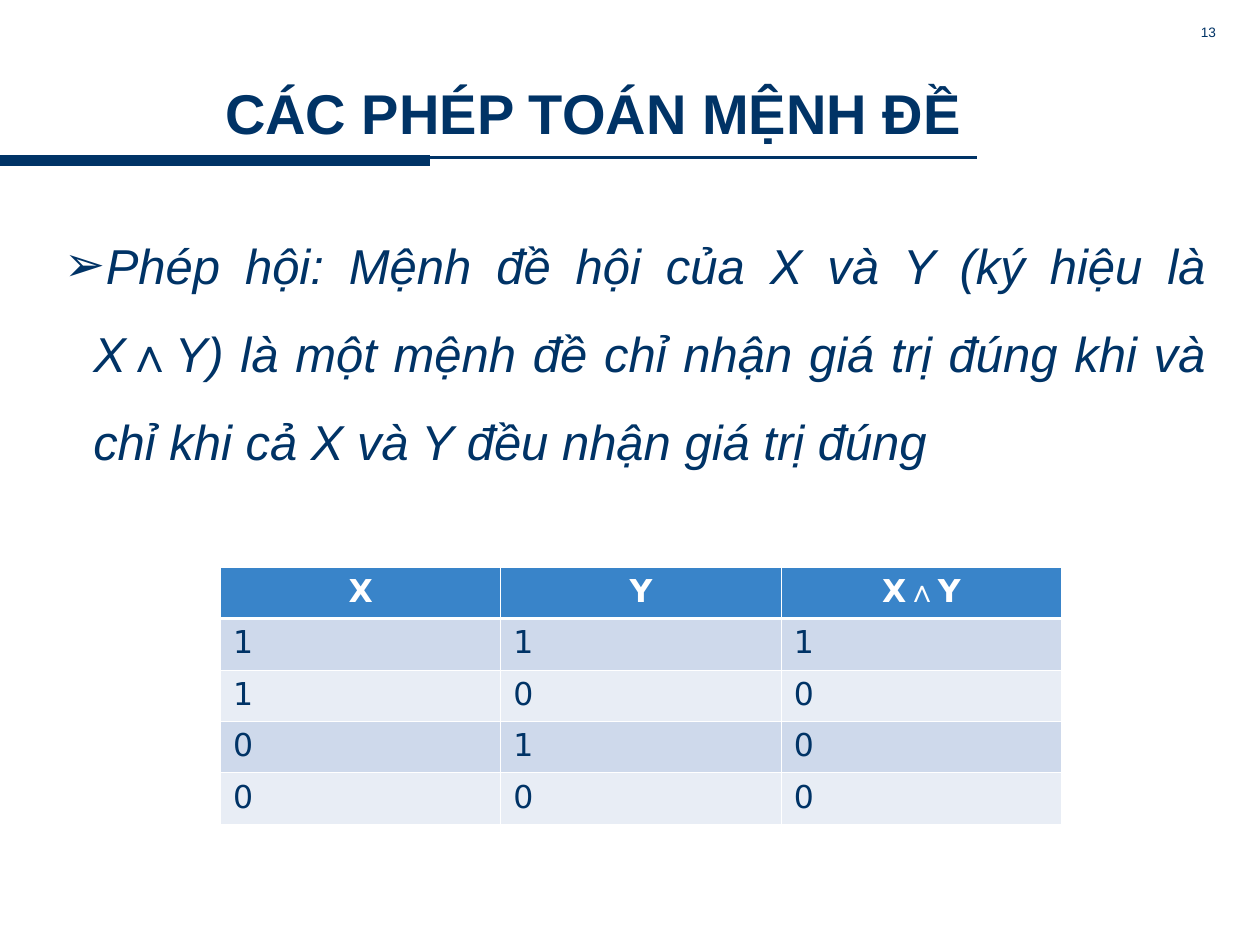
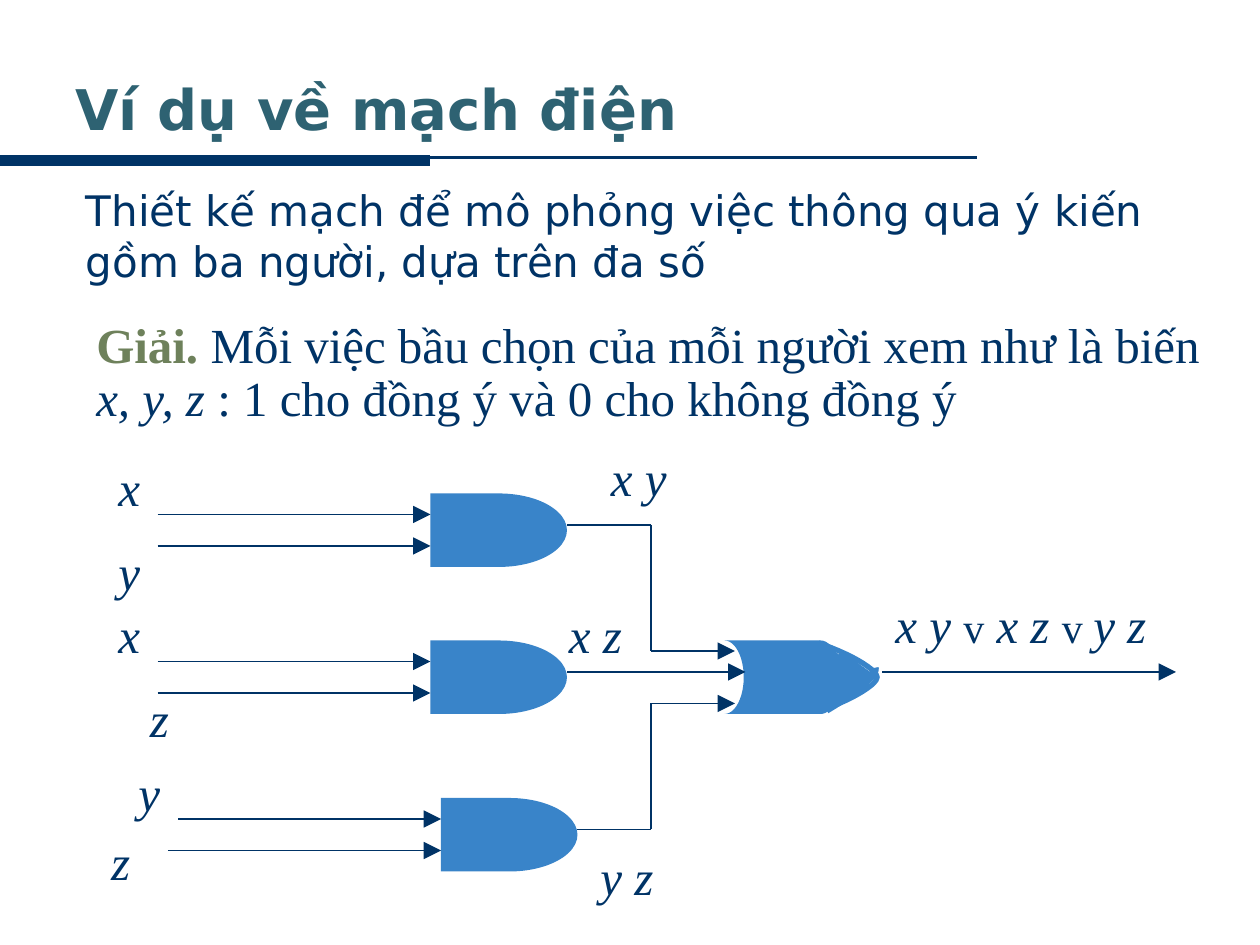
from lxml import etree
from pptx import Presentation
from pptx import util as u
from pptx.dml.color import RGBColor
from pptx.enum import shapes, text
from pptx.oxml import ns

PX = 7620  # EMU per px, 120 px to the inch
NAVY = RGBColor(0x00, 0x33, 0x66)
BLUE = RGBColor(0x39, 0x84, 0xC9)
TEAL = RGBColor(0x2E, 0x62, 0x72)
OLIVE = RGBColor(0x6E, 0x81, 0x5B)
WHITE = RGBColor(0xFF, 0xFF, 0xFF)
PALE = RGBColor(0xE8, 0xED, 0xF5)
MIST = RGBColor(0xCE, 0xD9, 0xEB)
ARIAL, SANS, SERIF = "Arial", "DejaVu Sans", "Times New Roman"


def say(frame, *runs, wrap=True):
    """Write runs of (words, font, size, colour, style), style holding b and i."""
    frame.word_wrap = wrap
    frame.auto_size = text.MSO_AUTO_SIZE.NONE
    para = frame.paragraphs[0]
    for words, face, size, color, style in runs:
        run = para.add_run()
        run.text = words
        run.font.name, run.font.size = face, u.Pt(size)
        run.font.color.rgb = color
        run.font.bold, run.font.italic = "b" in style, "i" in style
    return para


def line(slide, x1, y1, x2, y2, width=0.75, color=NAVY, arrow=False):
    wire = slide.shapes.add_connector(
        shapes.MSO_CONNECTOR.STRAIGHT, x1 * PX, y1 * PX, x2 * PX, y2 * PX)
    wire.line.color.rgb, wire.line.width = color, u.Pt(width)
    if arrow:
        etree.SubElement(wire.line._get_or_add_ln(), ns.qn("a:tailEnd"),
                         type="triangle", w="lg", len="lg")
    etree.SubElement(wire._element.spPr, ns.qn("a:effectLst"))


deck = Presentation()
deck.slide_width, deck.slide_height = 1200 * PX, 900 * PX

# Shared title and rule
titles = [
    ("CÁC PHÉP TOÁN MỆNH ĐỀ", (60, 70, 1010, 74), ARIAL, NAVY, text.PP_ALIGN.CENTER),
    ("Ví dụ về mạch điện", (60, 36, 1080, 134), SANS, TEAL, text.PP_ALIGN.LEFT),
]
for words, place, face, color, align in titles:
    slide = deck.slides.add_slide(deck.slide_layouts[5])
    line(slide, 0, 150, 930, 150, 1.5)
    line(slide, 0, 153, 410, 153, 6)
    title = slide.shapes.title
    title.left, title.top, title.width, title.height = [n * PX for n in place]
    title.text_frame.vertical_anchor = text.MSO_ANCHOR.MIDDLE
    say(title.text_frame, (words, face, 32, color, "b")).alignment = align
logic, circuit = deck.slides

# Slide 1: conjunction and its truth table
box = logic.shapes.add_textbox(940 * PX, 20 * PX, 230 * PX, 30 * PX)
para = say(box.text_frame, ("13", ARIAL, 7.8, NAVY, ""))
para.alignment, para.line_spacing = text.PP_ALIGN.RIGHT, 0.8

box = logic.shapes.add_textbox(50 * PX, 190 * PX, 1110 * PX, 264 * PX)
para = say(box.text_frame, (
    "Phép hội: Mệnh đề hội của X và Y (ký hiệu là X∧Y) là một mệnh đề chỉ nhận "
    "giá trị đúng khi và chỉ khi cả X và Y đều nhận giá trị đúng", ARIAL, 28, NAVY, "i"))
para.alignment, para.line_spacing = text.PP_ALIGN.JUSTIFY, 1.5
props = para._p.get_or_add_pPr()
props.set("marL", str(27 * PX))
props.set("indent", str(-27 * PX))
etree.SubElement(props, ns.qn("a:buFont"), typeface=ARIAL)
etree.SubElement(props, ns.qn("a:buChar"), char="➢")

pairs = [(1, 1), (1, 0), (0, 1), (0, 0)]
rows = [("X", "Y", "X∧Y")] + [(x, y, x & y) for x, y in pairs]
table = logic.shapes.add_table(5, 3, 210 * PX, 540 * PX, 801 * PX, 245 * PX).table
for r, row in enumerate(rows):
    table.rows[r].height = 49 * PX
    for c, value in enumerate(row):
        cell = table.cell(r, c)
        props = cell._tc.get_or_add_tcPr()
        for side in "LRTB":
            thick = (r, side) in [(0, "B"), (1, "T")]
            edge = etree.SubElement(props, ns.qn("a:ln" + side),
                                    w=str(u.Pt(1.5 if thick else 0.45)))
            paint = etree.SubElement(edge, ns.qn("a:solidFill"))
            etree.SubElement(paint, ns.qn("a:srgbClr"), val=str(WHITE))
        cell.fill.solid()
        cell.fill.fore_color.rgb = BLUE if r == 0 else MIST if r % 2 else PALE
        color, style = (WHITE, "b") if r == 0 else (NAVY, "")
        para = say(cell.text_frame, *[
            (sign, ARIAL if sign == "∧" else SANS, 18, color, style) for sign in str(value)])
        if r == 0:
            para.alignment = text.PP_ALIGN.CENTER

# Slide 2: task and answer
box = circuit.shapes.add_textbox(70 * PX, 170 * PX, 1060 * PX, 130 * PX)
say(box.text_frame, ("Thiết kế mạch để mô phỏng việc thông qua ý kiến gồm ba người, "
                     "dựa trên đa số", SANS, 24, NAVY, ""))
box = circuit.shapes.add_textbox(80 * PX, 300 * PX, 1080 * PX, 113 * PX)
say(box.text_frame,
    ("Giải. ", SERIF, 28, OLIVE, "b"),
    ("Mỗi việc bầu chọn của mỗi người xem như là biến ", SERIF, 28, NAVY, ""),
    ("x, y, z ", SERIF, 28, NAVY, "i"),
    (": 1 cho đồng ý và 0 cho không đồng ý", SERIF, 28, NAVY, "")).line_spacing = 0.9

# Gates: preset, left, top, width, height, rotation
kind = shapes.MSO_SHAPE
gates = [
    (kind.FLOWCHART_DELAY, 410, 470, 130, 70, 0),
    (kind.FLOWCHART_DELAY, 410, 610, 130, 70, 0),
    (kind.FLOWCHART_DELAY, 420, 760, 130, 70, 0),
    (kind.FLOWCHART_STORED_DATA, 690, 610, 110, 70, 180),
    (kind.ISOSCELES_TRIANGLE, 770, 620, 70, 50, 90),
]
for form, x, y, w, h, turn in gates:
    gate = circuit.shapes.add_shape(form, x * PX, y * PX, w * PX, h * PX)
    gate.shadow.inherit = False
    gate.fill.solid()
    gate.fill.fore_color.rgb = BLUE
    gate.line.fill.background()
    gate.rotation = turn

# Rounded nose of the OR gate, as cubic curves
line(circuit, 800, 622, 830, 644, 3, BLUE)
curves = [
    (3, (784, 614), (815, 625), (838, 640), (835, 646)),
    (3, (784, 676), (815, 665), (838, 650), (835, 644)),
    (4.5, (787, 676), (816, 659), (836, 641), (833, 636)),
]
for width, *knots in curves:
    dots = []
    for t in [n / 12 for n in range(13)]:
        parts = ((1 - t) ** 3, 3 * t * (1 - t) ** 2, 3 * t * t * (1 - t), t ** 3)
        dots.append([round(PX * sum(p * k[axis] for p, k in zip(parts, knots)))
                     for axis in (0, 1)])
    pen = circuit.shapes.build_freeform(*dots[0])
    pen.add_line_segments(dots[1:], close=False)
    curve = pen.convert_to_shape()
    curve.shadow.inherit = False
    curve.fill.background()
    curve.line.color.rgb, curve.line.width = BLUE, u.Pt(width)

# Wires
arrows = [
    (150, 490, 410, 490), (150, 520, 410, 520),
    (150, 630, 410, 630), (150, 660, 410, 660),
    (170, 780, 420, 780), (160, 810, 420, 810),
    (620, 620, 700, 620), (540, 640, 710, 640), (620, 670, 700, 670),
    (840, 640, 1120, 640),
]
for ends in arrows:
    line(circuit, *ends, arrow=True)
bends = [(540, 500, 620, 500), (620, 500, 620, 620),
         (550, 790, 620, 790), (620, 790, 620, 670)]
for ends in bends:
    line(circuit, *ends)

# Signal names
names = [
    ("x", 101, 430, 44), ("y", 101, 510, 44), ("x", 101, 570, 44), ("z", 131, 650, 42),
    ("y", 120, 720, 44), ("z", 94, 786, 42),
    ("x y", 570, 420, 77), ("x z", 530, 570, 74), ("y z", 560, 800, 74),
]
for name, x, y, w in names:
    box = circuit.shapes.add_textbox(x * PX, y * PX, w * PX, 68 * PX)
    say(box.text_frame, (name, SERIF, 28, NAVY, "i"), wrap=False)
box = circuit.shapes.add_textbox(841 * PX, 560 * PX, 263 * PX, 68 * PX)
say(box.text_frame,
    ("x y ", SERIF, 28, NAVY, "i"), ("v", SERIF, 24, NAVY, ""),
    (" x z ", SERIF, 28, NAVY, "i"), ("v ", SERIF, 24, NAVY, ""),
    ("y z", SERIF, 28, NAVY, "i"), wrap=False)

deck.save("out.pptx")
